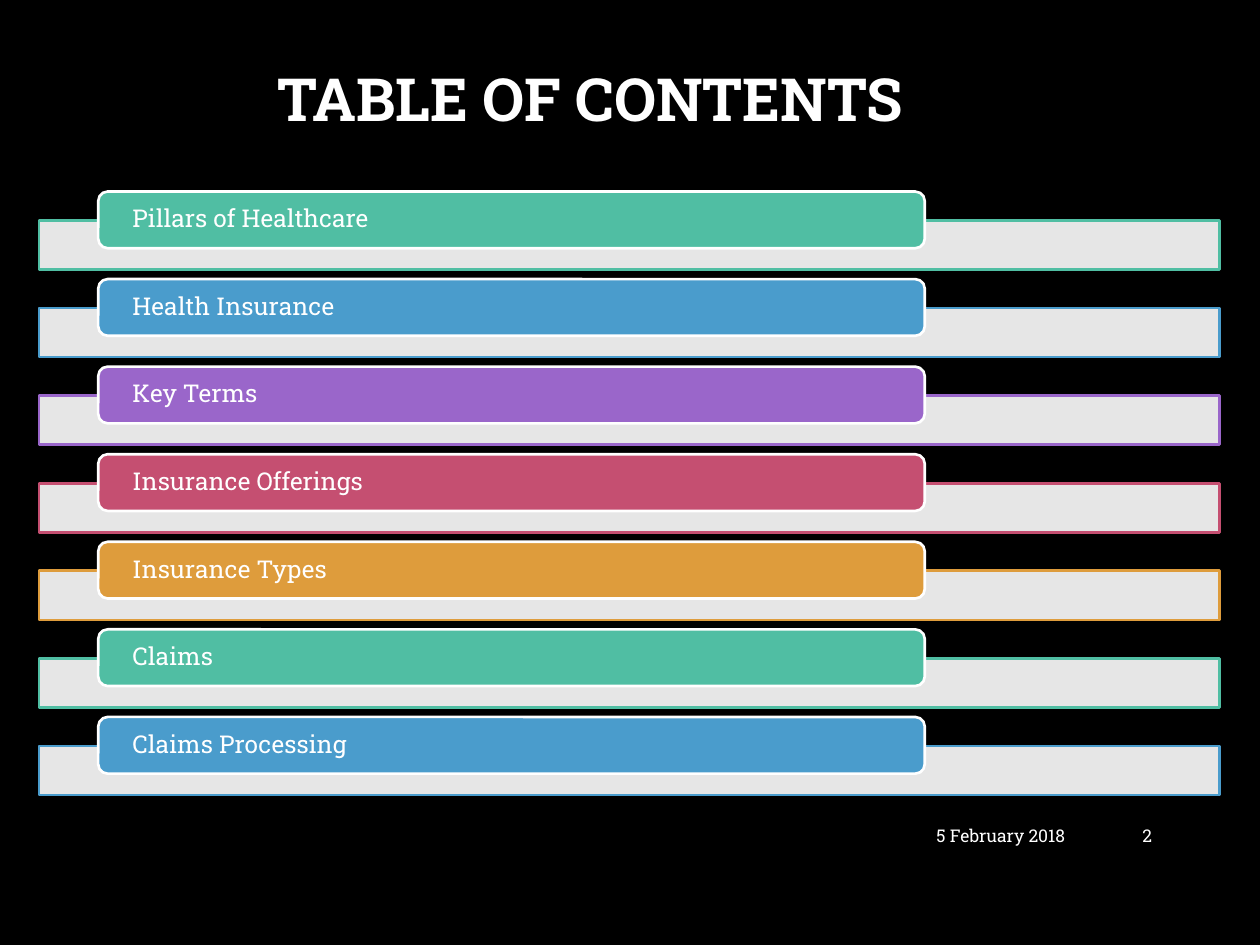
from dataclasses import dataclass

import pptx
import pptx.dml.color
import pptx.enum.shapes
import pptx.enum.text
import pptx.oxml
import pptx.oxml.ns
import pptx.util

SHAPE = pptx.enum.shapes.MSO_SHAPE
ALIGN = pptx.enum.text.PP_ALIGN


@dataclass(frozen=True)
class Theme:
    font: str = "Roboto Slab"
    back: str = "000000"
    white: str = "FFFFFF"
    accents: tuple = ("50BEA3", "4A9CCC", "9A66CA", "C54F71", "DE9C3C")
    title_size: int = 34
    topic_size: int = 14
    footer_size: int = 10
    line: float = 1.5
    bar_opacity: int = 90


@dataclass(frozen=True)
class Box:
    left: float
    top: float
    width: float
    height: float

    def emu(self) -> list:
        return [pptx.util.Inches(v)
                for v in (self.left, self.top, self.width, self.height)]


@dataclass(frozen=True)
class Label:
    text: str
    box: Box
    size: int
    align: ALIGN
    bold: bool = False
    spacing: float = 1.0


THEME = Theme()
TOPICS = ("Pillars of Healthcare", "Health Insurance", "Key Terms",
          "Insurance Offerings", "Insurance Types", "Claims",
          "Claims Processing")

# Grid of topic rows, in inches
FIRST_ROW, LAST_ROW = 1.52, 5.69
PITCH = (LAST_ROW - FIRST_ROW) / (len(TOPICS) - 1)
BAR_DROP = 0.23

LABELS = (
    Label("TABLE OF CONTENTS", Box(0.44, 0.22, 8.49, 1.18),
          THEME.title_size, ALIGN.CENTER, True, 0.9),
    Label("5 February 2018", Box(6.3, 6.43, 2.25, 0.4),
          THEME.footer_size, ALIGN.RIGHT),
    Label("2", Box(8.62, 6.43, 0.62, 0.4), THEME.footer_size, ALIGN.RIGHT),
)


def rgb(color: str) -> pptx.dml.color.RGBColor:
    return pptx.dml.color.RGBColor.from_string(color)


def write(sp, text: str, size: int, align: ALIGN,
          bold: bool = False, spacing: float = 1.0) -> None:
    tf = sp.text_frame
    tf.word_wrap = True
    tf.vertical_anchor = pptx.enum.text.MSO_ANCHOR.MIDDLE
    tf.text = text
    p = tf.paragraphs[0]
    p.alignment = align
    p.line_spacing = spacing
    r = p.runs[0]
    r.font.name = THEME.font
    r.font.size = pptx.util.Pt(size)
    r.font.bold = bold
    r.font.color.rgb = rgb(THEME.white)


def add_block(s, kind: SHAPE, box: Box, fill: str, line: str):
    sp = s.shapes.add_shape(kind, *box.emu())
    sp.shadow.inherit = False
    sp.fill.solid()
    sp.fill.fore_color.rgb = rgb(fill)
    sp.line.color.rgb = rgb(line)
    sp.line.width = pptx.util.Pt(THEME.line)
    return sp


def set_opacity(sp, percent: int) -> None:
    ns = pptx.oxml.ns.nsdecls("a")
    color = sp.fill._xPr.find(pptx.oxml.ns.qn("a:solidFill"))[0]
    color.append(pptx.oxml.parse_xml(f'<a:alpha {ns} val="{percent * 1000}"/>'))


def add_topic(s, row: int, text: str) -> None:
    top = FIRST_ROW + row * PITCH
    accent = THEME.accents[row % len(THEME.accents)]
    bar = add_block(s, SHAPE.RECTANGLE, Box(0.31, top + BAR_DROP, 9.37, 0.39),
                    THEME.white, accent)
    set_opacity(bar, THEME.bar_opacity)
    pill = add_block(s, SHAPE.ROUNDED_RECTANGLE, Box(0.78, top, 6.56, 0.45),
                     accent, THEME.white)
    write(pill, text, THEME.topic_size, ALIGN.LEFT, spacing=0.9)
    tf = pill.text_frame
    tf.margin_left = tf.margin_right = pptx.util.Inches(0.25)
    tf.margin_top = tf.margin_bottom = 0


def add_label(s, label: Label) -> None:
    sp = s.shapes.add_textbox(*label.box.emu())
    write(sp, label.text, label.size, label.align, label.bold, label.spacing)


def main() -> None:
    prs = pptx.Presentation()
    prs.slide_width = pptx.util.Inches(10)
    prs.slide_height = pptx.util.Inches(7.5)
    s = prs.slides.add_slide(prs.slide_layouts[6])
    s.background.fill.solid()
    s.background.fill.fore_color.rgb = rgb(THEME.back)

    # Topic rows
    for row, text in enumerate(TOPICS):
        add_topic(s, row, text)

    # Title, date and page number
    for label in LABELS:
        add_label(s, label)

    prs.save("out.pptx")


if __name__ == "__main__":
    main()
